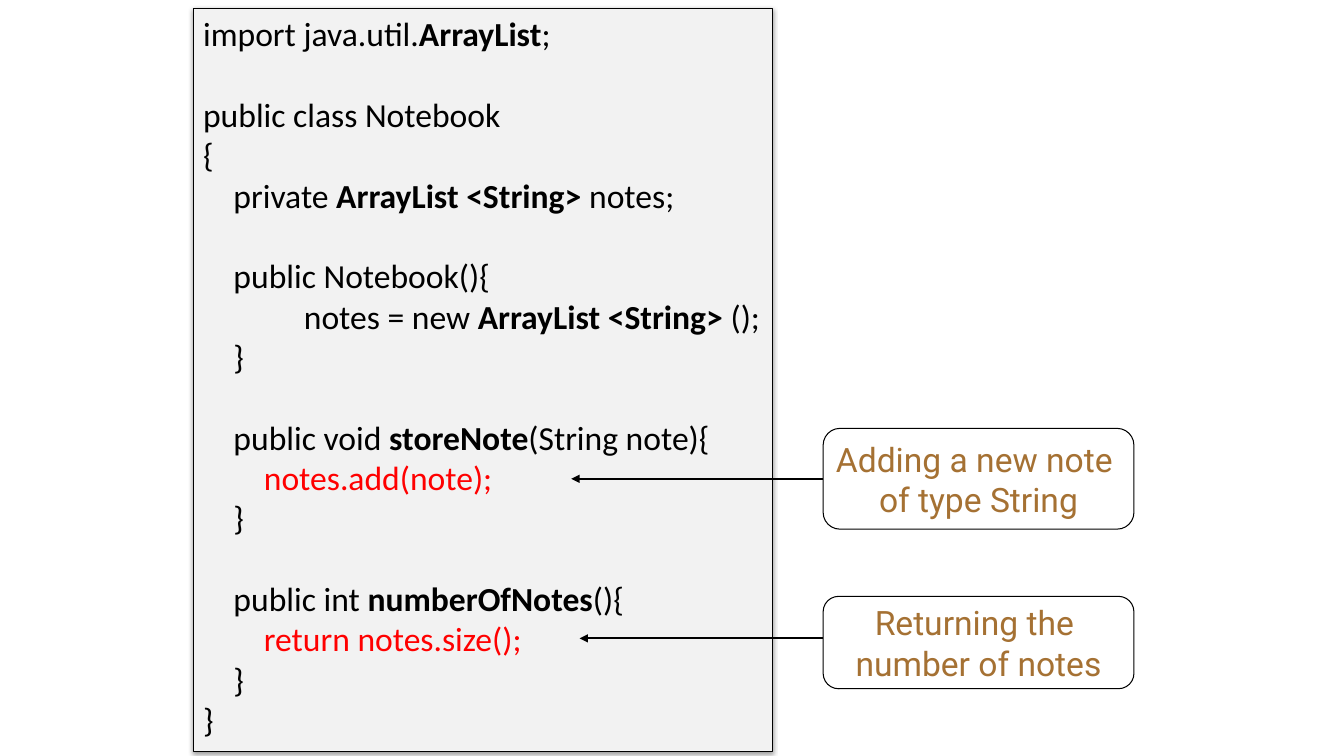
"""Build a slide that explains the Notebook class with two callouts."""
from dataclasses import dataclass

from lxml import etree
from pptx import Presentation
from pptx import util as u
from pptx.dml.color import RGBColor
from pptx.enum import shapes, text
from pptx.oxml import ns

COLUMNS, ROWS = 160, 90
UNIT = u.Inches(1) / 12
BLACK = RGBColor(0x00, 0x00, 0x00)
RED = RGBColor(0xFF, 0x00, 0x00)
BROWN = RGBColor(0xA5, 0x71, 0x33)
LIGHT_GREY = RGBColor(0xF2, 0xF2, 0xF2)
FONT_SIZE = u.Pt(24)
LINE_GAP = u.Pt(28.8)
BOLD_MARK = "**"


@dataclass(frozen=True)
class Box:
    """A rectangle in grid columns and rows."""

    column: float
    row: float
    width: float
    height: float


@dataclass(frozen=True)
class CodeLine:
    """A line of code with marked bold parts."""

    code: str
    color: RGBColor = BLACK
    gap_before: bool = False


@dataclass(frozen=True)
class Callout:
    """A note and the arrow from it to the code."""

    box: Box
    note: str
    arrow_row: float
    arrow_tip: float


CODE_BOX = Box(23, 1, 69, 88.5)
CODE_LINES = (
    CodeLine("import java.util.**ArrayList**;"),
    CodeLine("public class Notebook", gap_before=True),
    CodeLine("{"),
    CodeLine("    private **ArrayList <String>** notes;"),
    CodeLine("    public Notebook(){", gap_before=True),
    CodeLine("        \tnotes = new **ArrayList <String> **();"),
    CodeLine("    }"),
    CodeLine("    public void **storeNote**(String note){", gap_before=True),
    CodeLine("        notes.add(note);", RED),
    CodeLine("    }"),
    CodeLine("    public int **numberOfNotes**(){", gap_before=True),
    CodeLine("        return notes.size();", RED),
    CodeLine("    }"),
    CodeLine("}"),
)
CALLOUTS = (
    Callout(Box(98, 51, 37, 12), "Adding a new note \nof type String", 57, 68),
    Callout(Box(98, 71, 37, 11), "Returning the \nnumber of notes", 76, 69),
)


def grid(units: float) -> u.Emu:
    """Turn grid units into a length."""
    return u.Emu(round(units * UNIT))


def add_box(slide, kind: shapes.MSO_SHAPE, box: Box):
    """Add a thinly outlined shape without a shadow."""
    shape = slide.shapes.add_shape(
        kind, grid(box.column), grid(box.row), grid(box.width), grid(box.height)
    )
    shape.shadow.inherit = False
    shape.line.color.rgb = BLACK
    shape.line.width = u.Pt(0.75)
    return shape


def format_font(font, name: str, color: RGBColor) -> None:
    """Apply the typeface, size and colour."""
    font.name = name
    font.size = FONT_SIZE
    font.color.rgb = color


def add_shadow(shape) -> None:
    """Give the shape a soft shadow below it."""
    effects = shape._element.spPr.find(ns.qn("a:effectLst"))
    shadow = etree.SubElement(
        effects,
        ns.qn("a:outerShdw"),
        blurRad=str(u.Pt(3.1)),
        dist=str(u.Pt(1.6)),
        dir="5400000",
        rotWithShape="0",
    )
    color = etree.SubElement(shadow, ns.qn("a:srgbClr"), val=str(BLACK))
    etree.SubElement(color, ns.qn("a:alpha"), val="38000")


def add_code(slide) -> None:
    """Add the panel with the class source."""
    panel = add_box(slide, shapes.MSO_SHAPE.RECTANGLE, CODE_BOX)
    panel.fill.solid()
    panel.fill.fore_color.rgb = LIGHT_GREY
    add_shadow(panel)
    frame = panel.text_frame
    frame.word_wrap = True
    frame.vertical_anchor = text.MSO_ANCHOR.TOP
    for index, line in enumerate(CODE_LINES):
        paragraph = frame.add_paragraph() if index else frame.paragraphs[0]
        paragraph.alignment = text.PP_ALIGN.LEFT
        if line.gap_before:
            paragraph.space_before = LINE_GAP
        for part_index, part in enumerate(line.code.split(BOLD_MARK)):
            run = paragraph.add_run()
            run.text = part
            format_font(run.font, "Calibri", line.color)
            run.font.bold = part_index % 2 == 1


def add_arrow(slide, callout: Callout) -> None:
    """Add the arrow from a callout to its line of code."""
    row = grid(callout.arrow_row)
    arrow = slide.shapes.add_connector(
        shapes.MSO_CONNECTOR.STRAIGHT,
        grid(callout.box.column), row, grid(callout.arrow_tip), row,
    )
    arrow.line.color.rgb = BLACK
    arrow.line.width = u.Pt(1.5)
    etree.SubElement(arrow.line._get_or_add_ln(), ns.qn("a:tailEnd"), type="triangle")
    etree.SubElement(arrow._element.spPr, ns.qn("a:effectLst"))


def add_callout(slide, callout: Callout) -> None:
    """Add a rounded note and its arrow."""
    shape = add_box(slide, shapes.MSO_SHAPE.ROUNDED_RECTANGLE, callout.box)
    shape.fill.background()
    frame = shape.text_frame
    frame.word_wrap = False
    frame.vertical_anchor = text.MSO_ANCHOR.MIDDLE
    frame.text = callout.note
    for paragraph in frame.paragraphs:
        paragraph.alignment = text.PP_ALIGN.CENTER
        for run in paragraph.runs:
            format_font(run.font, "Roboto", BROWN)
    add_arrow(slide, callout)


def main() -> None:
    """Build and save the presentation."""
    presentation = Presentation()
    presentation.slide_width = grid(COLUMNS)
    presentation.slide_height = grid(ROWS)
    slide = presentation.slides.add_slide(presentation.slide_layouts.get_by_name("Blank"))
    add_code(slide)
    for callout in CALLOUTS:
        add_callout(slide, callout)
    presentation.save("out.pptx")


if __name__ == "__main__":
    main()
